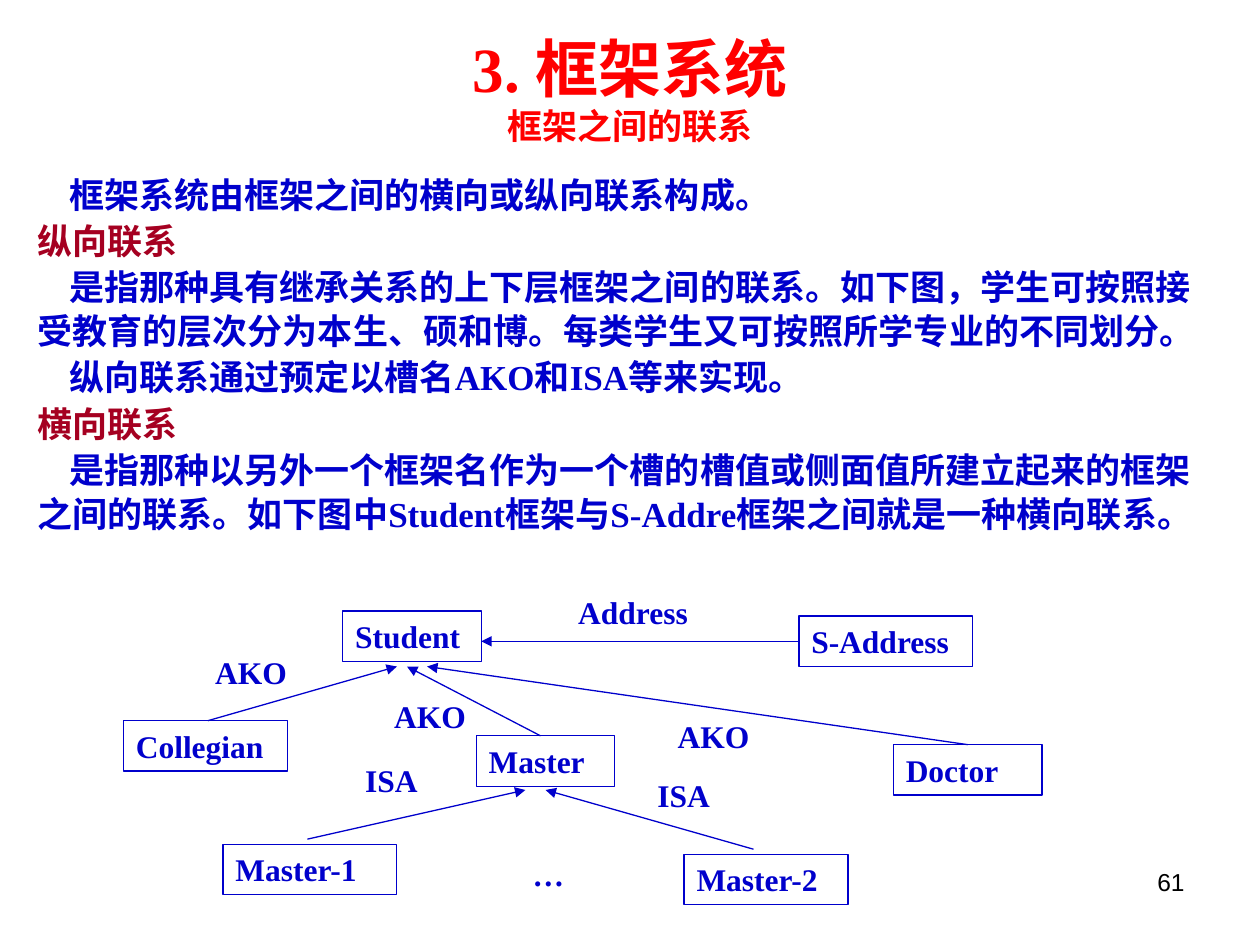
import pptx
import pptx.dml.color
import pptx.enum.shapes
import pptx.enum.text
import pptx.oxml
import pptx.oxml.ns
import pptx.util
from dataclasses import dataclass

PX = 9144
ALIGN = pptx.enum.text.PP_ALIGN
FIT = pptx.enum.text.MSO_AUTO_SIZE
ANCHOR = pptx.enum.text.MSO_ANCHOR


@dataclass(frozen=True)
class Theme:
    serif: str = "Times New Roman"
    sans: str = "Arial"
    blue: str = "0000CC"
    heading: str = "A50021"
    title: str = "FF0000"
    black: str = "000000"
    title_size: int = 36
    body_size: int = 20
    label_size: int = 18
    number_size: int = 14
    line_width: float = 0.75
    line_spacing: float = 1.05
    space_before: float = 1.2
    indent: int = 25


THEME = Theme()

BODY = [
    ("框架系统由框架之间的横向或纵向联系构成。", False),
    ("纵向联系", True),
    ("是指那种具有继承关系的上下层框架之间的联系。如下图，学生可按照接受教育的层次分为本生、硕和博。每类学生又可按照所学专业的不同划分。", False),
    ("纵向联系通过预定以槽名AKO和ISA等来实现。", False),
    ("横向联系", True),
    ("是指那种以另外一个框架名作为一个槽的槽值或侧面值所建立起来的框架之间的联系。如下图中Student框架与S-Addre框架之间就是一种横向联系。", False),
]

FRAMES = [
    ("Student", 272, 485, 110),
    ("S-Address", 634, 489, 138),
    ("Collegian", 98, 572, 130),
    ("Master", 378, 584, 110),
    ("Doctor", 709, 591, 118),
    ("Master-1", 177, 670, 138),
    ("Master-2", 543, 678, 130),
]

LABELS = [
    ("Address", 449, 466, 126),
    ("AKO", 161, 513, 79),
    ("AKO", 303, 548, 79),
    ("AKO", 528, 564, 79),
    ("ISA", 280, 599, 67),
    ("ISA", 512, 611, 63),
    ("…", 413, 674, 67),
]

ARROWS = [
    (634, 509, 382, 509),
    (165, 572, 315, 529),
    (429, 584, 323, 529),
    (768, 591, 339, 529),
    (244, 666, 417, 627),
    (598, 674, 433, 627),
]


def px(*lengths):
    return [pptx.util.Emu(length * PX) for length in lengths]


def rgb(color):
    return pptx.dml.color.RGBColor.from_string(color)


def apply(target, values):
    for name, value in values.items():
        setattr(target, name, value)


def style(font, size, color, name=THEME.serif, bold=True):
    apply(font, {"size": pptx.util.Pt(size), "name": name, "bold": bold})
    font.color.rgb = rgb(color)


def outline(line):
    line.color.rgb = rgb(THEME.blue)
    line.width = pptx.util.Pt(THEME.line_width)


def add_title(page, heading, subtitle):
    box = page.shapes.title
    apply(box, dict(zip(("left", "top", "width", "height"), px(50, 17, 900, 106))))
    apply(box.text_frame, {"auto_size": FIT.NONE, "vertical_anchor": ANCHOR.MIDDLE})
    para = box.text_frame.paragraphs[0]
    para.alignment = ALIGN.CENTER
    span = para.add_run()
    span.text = heading
    style(span.font, THEME.title_size, THEME.title)
    para.add_line_break()
    span = para.add_run()
    span.text = subtitle
    style(span.font, THEME.body_size, THEME.title)


def add_body(page):
    box = page.shapes.add_textbox(*px(20, 131, 957, 334))
    apply(box.text_frame, {"word_wrap": True, "auto_size": FIT.SHAPE_TO_FIT_TEXT})
    for index, (text, is_heading) in enumerate(BODY):
        para = box.text_frame.add_paragraph() if index else box.text_frame.paragraphs[0]
        para.line_spacing = THEME.line_spacing
        if index:
            para.space_before = pptx.util.Pt(THEME.space_before)
        if not is_heading:
            properties = para._p.get_or_add_pPr()
            properties.set("marL", "0")
            properties.set("indent", str(THEME.indent * PX))
        span = para.add_run()
        span.text = text
        style(span.font, THEME.body_size, THEME.heading if is_heading else THEME.blue)


def write_label(box, text):
    apply(box.text_frame, {
        "word_wrap": True,
        "auto_size": FIT.SHAPE_TO_FIT_TEXT,
        "vertical_anchor": ANCHOR.TOP,
    })
    para = box.text_frame.paragraphs[0]
    para.alignment = ALIGN.LEFT
    span = para.add_run()
    span.text = text
    style(span.font, THEME.label_size, THEME.blue)


def add_frame(page, text, left, top, width):
    kind = pptx.enum.shapes.MSO_SHAPE.RECTANGLE
    box = page.shapes.add_shape(kind, *px(left, top, width, 40))
    box.shadow.inherit = False
    box.fill.background()
    outline(box.line)
    write_label(box, text)


def add_label(page, text, left, top, width):
    write_label(page.shapes.add_textbox(*px(left, top, width, 40)), text)


def add_arrow(page, *ends):
    kind = pptx.enum.shapes.MSO_CONNECTOR.STRAIGHT
    arrow = page.shapes.add_connector(kind, *px(*ends))
    outline(arrow.line)
    tail = pptx.oxml.parse_xml(
        f'<a:tailEnd {pptx.oxml.ns.nsdecls("a")} type="triangle"/>')
    arrow.line._get_or_add_ln().append(tail)
    effects = pptx.oxml.parse_xml(f'<a:effectLst {pptx.oxml.ns.nsdecls("a")}/>')
    arrow._element.spPr.append(effects)


def add_page_number(page, number):
    box = page.shapes.add_textbox(*px(717, 683, 233, 52))
    box.text_frame.word_wrap = True
    para = box.text_frame.paragraphs[0]
    para.alignment = ALIGN.RIGHT
    span = para.add_run()
    span.text = number
    style(span.font, THEME.number_size, THEME.black, THEME.sans, False)


def main():
    deck = pptx.Presentation()
    apply(deck, dict(zip(("slide_width", "slide_height"), px(1000, 750))))
    page = deck.slides.add_slide(deck.slide_layouts[5])
    add_title(page, "3. 框架系统", "框架之间的联系")
    add_body(page)
    for add, items in ((add_frame, FRAMES), (add_label, LABELS), (add_arrow, ARROWS)):
        for item in items:
            add(page, *item)
    add_page_number(page, "61")
    deck.save("out.pptx")


if __name__ == "__main__":
    main()
